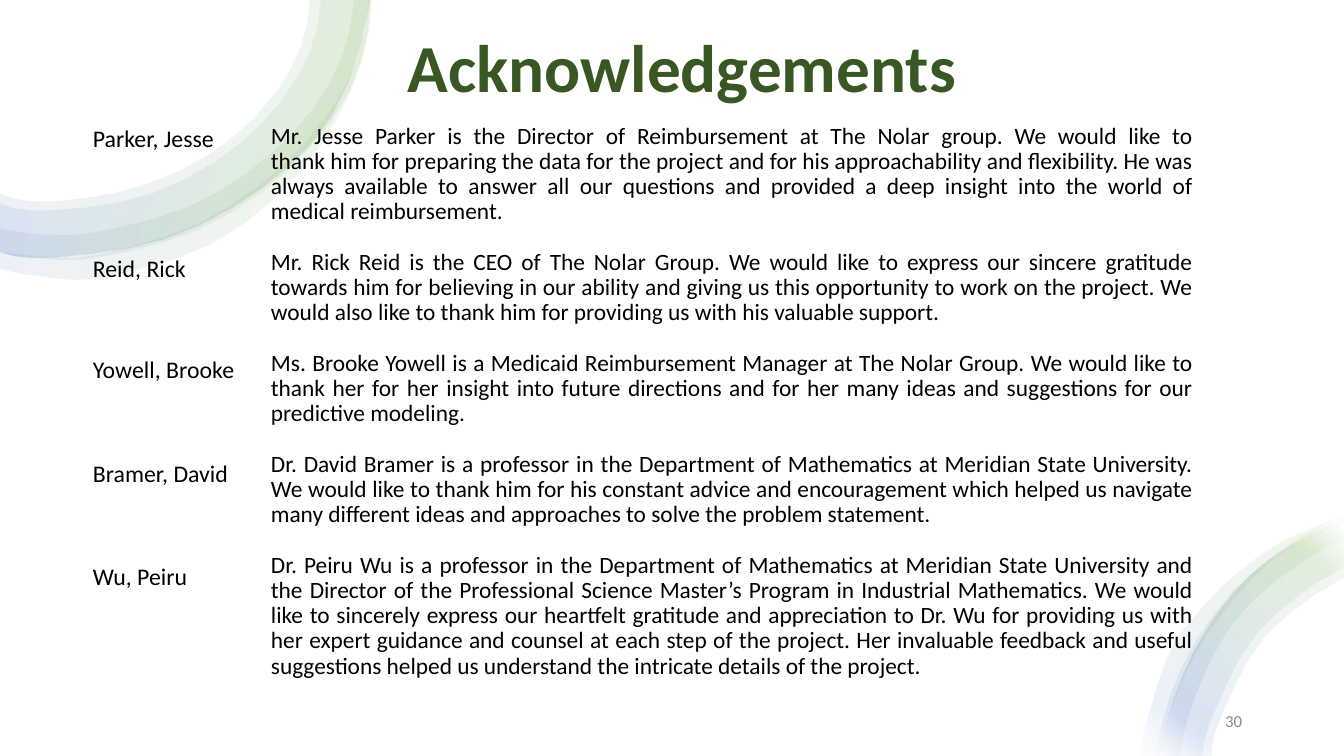
from dataclasses import dataclass

from pptx import Presentation
from pptx.dml.color import RGBColor
from pptx.enum.shapes import MSO_SHAPE
from pptx.enum.text import MSO_ANCHOR, PP_ALIGN
from pptx.oxml import parse_xml
from pptx.oxml.ns import nsdecls, qn
from pptx.util import Emu, Pt

PX = 914400 / 100.8
NO_BREAK = chr(160)


@dataclass(frozen=True)
class Theme:
    """Colours, font and type sizes of the slide."""
    font: str = "Calibri"
    white: str = "FFFFFF"
    green: str = "70AD47"
    blue: str = "4472C4"
    title: str = "385723"
    body: str = "000000"
    muted: str = "8C8C8C"
    title_size: float = 48
    name_size: float = 17
    body_size: float = 16.7
    number_size: float = 12


THEME = Theme()

TOP_OUTER = [(369, 0), (332, 114), (260, 189), (164, 239), (56, 257), (0, 251)]
TOP_BANDS = [
    (TOP_OUTER, [(309, 0), (289, 71), (233, 137), (150, 183), (56, 201), (0, 193)]),
    (TOP_OUTER, [(320, 0), (298, 75), (239, 144), (153, 193), (56, 210), (0, 203)]),
    ([(369, 0), (348, 92), (285, 172), (199, 229), (98, 257), (44, 258), (0, 252)],
     [(353, 0), (329, 83), (269, 155), (187, 207), (94, 232), (45, 234), (0, 228)]),
    ([(371, 0), (351, 89), (294, 178), (208, 245), (100, 277), (43, 276), (0, 268)],
     [(368, 0), (344, 87), (281, 166), (196, 224), (97, 254), (45, 256), (0, 251)]),
]
BOTTOM_OUTER = [(244, 21), (168, 61), (119, 112), (83, 176), (60, 256)]
BOTTOM_BANDS = [
    ([(244, 19), (208, 30), (166, 52), (128, 82), (94, 118), (67, 160), (39, 256)],
     [(244, 23), (211, 36), (172, 61), (139, 94), (111, 130), (87, 171), (70, 215), (60, 256)]),
    (BOTTOM_OUTER, [(244, 78), (165, 137), (123, 213), (112, 256)]),
    ([(244, 20), (206, 33), (134, 90), (82, 167), (57, 256)],
     [(244, 37), (149, 104), (103, 178), (80, 256)]),
    (BOTTOM_OUTER, [(244, 67), (159, 131), (116, 209), (103, 256)]),
]

PEOPLE = [
    (119, "Parker, Jesse",
     "Mr. Jesse Parker is the Director of Reimbursement at The Nolar group. We would like to "
     f"thank{NO_BREAK}him for preparing the data for the project and for his approachability and "
     "flexibility. He was always available to answer all our questions and provided a deep "
     "insight into the world of medical reimbursement."),
    (249, "Reid, Rick",
     "Mr. Rick Reid is the CEO of The Nolar Group. We would like to express our sincere "
     "gratitude towards him for believing in our ability and giving us this opportunity to work "
     "on the project. We would also like to thank him for providing us with his valuable "
     "support."),
    (350, "Yowell, Brooke",
     "Ms. Brooke Yowell is a Medicaid Reimbursement Manager at The Nolar Group. We would like to "
     "thank her for her insight into future directions and for her many ideas and suggestions "
     "for our predictive modeling."),
    (454, "Bramer, David",
     "Dr. David Bramer is a professor in the Department of Mathematics at Meridian State "
     "University. We would like to thank him for his constant advice and encouragement which "
     "helped us navigate many different ideas and approaches to solve the problem statement."),
    (557, "Wu, Peiru",
     "Dr. Peiru Wu is a professor in the Department of Mathematics at Meridian State University "
     "and the Director of the Professional Science Master’s Program in Industrial Mathematics. "
     "We would like to sincerely express our heartfelt gratitude and appreciation to Dr. Wu for "
     "providing us with her expert guidance and counsel at each step of the project. Her "
     "invaluable feedback and useful suggestions helped us understand the intricate details of "
     "the project."),
]


def px(length):
    """Turn px into EMU."""
    return Emu(round(length * PX))


def beyond(first, second, third):
    """Extend a curve by one point before its first."""
    return tuple(3 * a - 3 * b + c for a, b, c in zip(first, second, third))


def smooth(points, steps=3):
    """Return a Catmull-Rom curve through the points."""
    padded = [beyond(*points[:3]), *points, beyond(*points[:-4:-1])]
    curve = []
    for a, b, c, d in zip(padded, padded[1:], padded[2:], padded[3:]):
        for t in (step / steps for step in range(steps)):
            curve.append(tuple(
                0.5 * (2 * q + (r - p) * t + (2 * p - 5 * q + 4 * r - s) * t ** 2
                       + (3 * q - p - 3 * r + s) * t ** 3)
                for p, q, r, s in zip(a, b, c, d)))
    return [*curve, points[-1]]


def gradient(angle):
    """Return the faint white, green, blue, white gradient."""
    colours = [(2, THEME.white), (16, THEME.green), (85, THEME.blue), (100, THEME.white)]
    stops = "".join(
        f'<a:gs pos="{position * 1000}"><a:srgbClr val="{colour}">'
        f'<a:alpha val="10000"/></a:srgbClr></a:gs>' for position, colour in colours)
    return parse_xml(f'<a:gradFill {nsdecls("a")} rotWithShape="1"><a:gsLst>{stops}</a:gsLst>'
                     f'<a:lin ang="{angle * 60000}" scaled="0"/></a:gradFill>')


def add_backdrop(slide, box):
    """Cover the box with plain white."""
    shape = slide.shapes.add_shape(MSO_SHAPE.RECTANGLE, *map(px, box))
    shape.shadow.inherit = False
    shape.line.fill.background()
    shape.fill.solid()
    shape.fill.fore_color.rgb = RGBColor.from_string(THEME.white)


def add_swoosh(slide, box, bands, angle):
    """Stack translucent curved bands in the box."""
    left, top = box[:2]
    for outer, inner in bands:
        outline = [(px(left + x), px(top + y))
                   for x, y in smooth(outer) + smooth(inner)[::-1]]
        builder = slide.shapes.build_freeform(*outline[0])
        builder.add_line_segments(outline[1:], close=True)
        shape = builder.convert_to_shape()
        shape.shadow.inherit = False
        shape.line.fill.background()
        shape.fill.gradient()
        properties = shape.element.spPr
        properties.replace(properties.find(qn("a:gradFill")), gradient(angle))


def add_text(slide, box, texts, size, colour, align=PP_ALIGN.LEFT, anchor=MSO_ANCHOR.TOP,
             bold=False, spacing=1.0, gap=0):
    """Place one paragraph per text in a wrapping box."""
    frame = slide.shapes.add_textbox(*map(px, box)).text_frame
    frame.word_wrap = True
    frame.vertical_anchor = anchor
    for index, text in enumerate(texts):
        paragraph = frame.add_paragraph() if index else frame.paragraphs[0]
        paragraph.alignment = align
        paragraph.line_spacing = spacing
        paragraph.space_after = Pt(gap)
        run = paragraph.add_run()
        run.text = text
        run.font.name = THEME.font
        run.font.size = Pt(size)
        run.font.bold = bold
        run.font.color.rgb = RGBColor.from_string(colour)


def add_people(slide, box):
    """Place the names beside their acknowledgements."""
    left, top, width, height = box
    add_text(slide, (left + 178, top, width - 178, height), [thanks for _, _, thanks in PEOPLE],
             THEME.body_size, THEME.body, PP_ALIGN.JUSTIFY, spacing=0.9, gap=18)
    for name_top, name, _ in PEOPLE:
        add_text(slide, (left, top + name_top - PEOPLE[0][0], 290, 39), [name],
                 THEME.name_size, THEME.body)


def add_acknowledgements(slide, box):
    """Lay out the whole slide."""
    left, top, width, height = box
    add_backdrop(slide, box)
    add_swoosh(slide, (left, top, 371, 278), TOP_BANDS, 200)
    add_swoosh(slide, (left + width - 244, top + height - 256, 244, 256), BOTTOM_BANDS, 135)
    add_text(slide, (left + 140, top - 6, 1084, 118), ["Acknowledgements"], THEME.title_size,
             THEME.title, PP_ALIGN.CENTER, MSO_ANCHOR.BOTTOM, bold=True, spacing=0.9)
    add_people(slide, (left + 83, top + 119, 1120, 604))
    add_text(slide, (left + 950, top + 701, 302, 40), ["30"], THEME.number_size, THEME.muted,
             PP_ALIGN.RIGHT, MSO_ANCHOR.MIDDLE)


def main():
    """Build and save the presentation."""
    presentation = Presentation()
    presentation.slide_width, presentation.slide_height = px(1344), px(756)
    slide = presentation.slides.add_slide(presentation.slide_layouts[6])
    add_acknowledgements(slide, (0, 0, 1344, 756))
    presentation.save("out.pptx")


if __name__ == "__main__":
    main()
